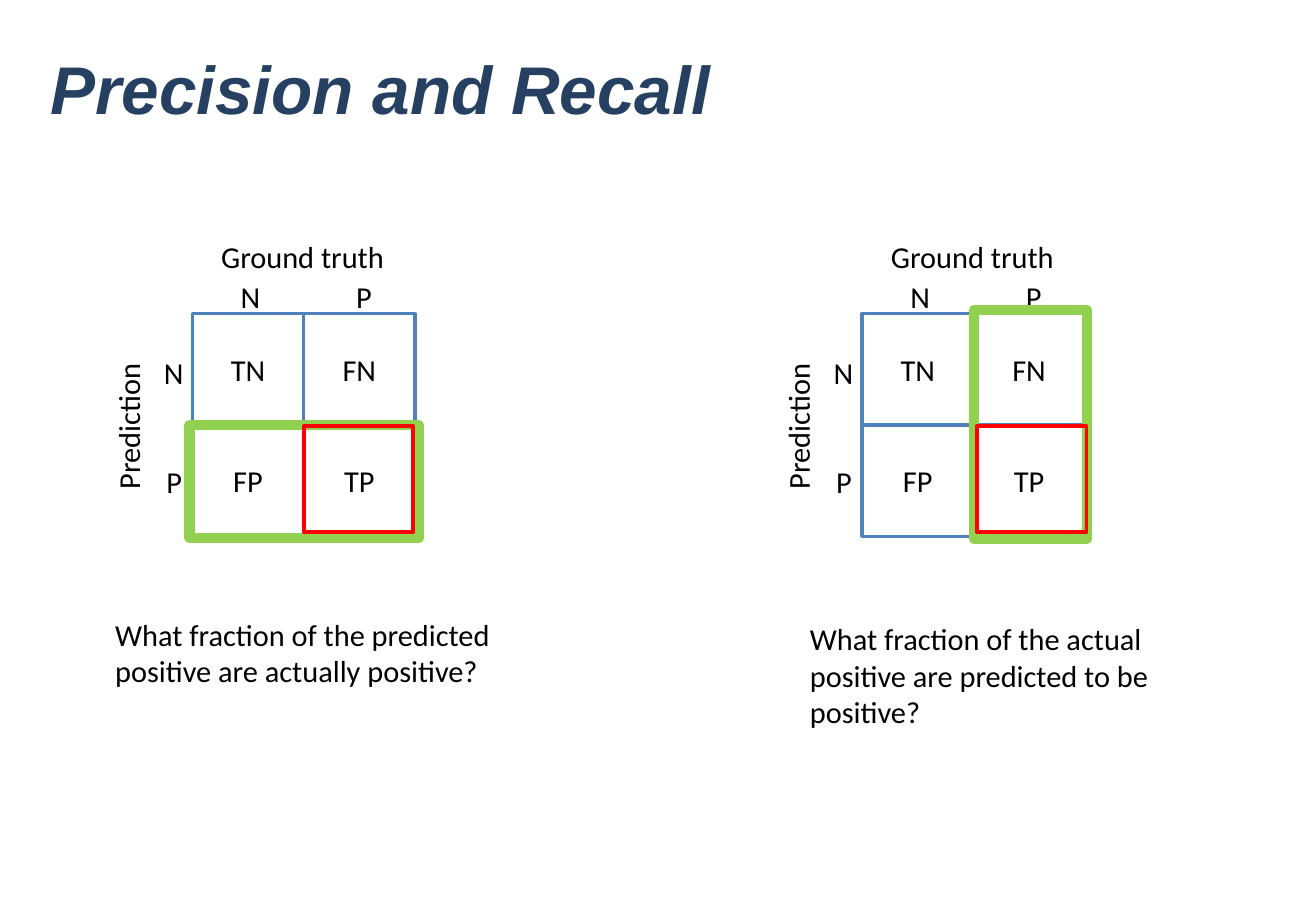
"""Draw the precision and recall slide with two confusion grids."""
from dataclasses import dataclass

from pptx import Presentation
from pptx.dml import color
from pptx.enum import shapes, text
from pptx import util as u

SIDE = 66
TOP = 186
BLACK = "000000"


@dataclass(frozen=True)
class Box:
    left: float
    top: float
    width: float
    height: float

    def points(self) -> list:
        return [u.Pt(v) for v in (self.left, self.top, self.width, self.height)]


@dataclass(frozen=True)
class Label:
    words: str
    box: Box
    turn: int = 0


@dataclass(frozen=True)
class Panel:
    left: float
    green: Box
    red: Box
    query: Label


CELLS = (("TN", "FN"), ("FP", "TP"))
LABELS = (
    Label("Prediction", Box(-83, 237.6, 90, 29), 270),
    Label("Ground truth", Box(10, 137.5, 112, 29)),
    Label("N", Box(21.5, 161.3, 26, 29)),
    Label("P", Box(90, 161.3, 24, 29)),
    Label("N", Box(-24, 206.6, 26, 29)),
    Label("P", Box(-22.5, 270.7, 24, 29)),
)
PANELS = (
    Panel(114, Box(112.3, 252, 136, 67), Box(180, 252.7, 65, 62.6),
          Label("What fraction of the predicted positive are actually positive?",
                Box(61.2, 361.4, 252, 51))),
    Panel(511, Box(577.4, 183.6, 67, 136), Box(579, 252.7, 65, 62.6),
          Label("What fraction of the actual positive are predicted to be positive?",
                Box(473, 364.3, 233.3, 73))),
)


def paint(target, shade: str) -> None:
    target.rgb = color.RGBColor.from_string(shade)


def write(shape, words: str, *, size: float = 18, face: str = "Calibri",
          shade: str = BLACK, bold: bool = False, slant: bool = False,
          align=text.PP_ALIGN.LEFT, anchor=text.MSO_ANCHOR.TOP,
          wrap: bool = True) -> None:
    frame = shape.text_frame
    frame.text = words
    frame.word_wrap = wrap
    frame.auto_size = text.MSO_AUTO_SIZE.NONE
    frame.vertical_anchor = anchor
    line = frame.paragraphs[0]
    line.alignment = align
    font = line.runs[0].font
    font.size, font.name = u.Pt(size), face
    font.bold, font.italic = bold, slant
    paint(font.color, shade)


def draw_rect(slide, box: Box, edge: str, weight: float, fill: str = ""):
    rect = slide.shapes.add_shape(shapes.MSO_SHAPE.RECTANGLE, *box.points())
    rect.shadow.inherit = False
    if fill:
        rect.fill.solid()
        paint(rect.fill.fore_color, fill)
    else:
        rect.fill.background()
    paint(rect.line.color, edge)
    rect.line.width = u.Pt(weight)
    return rect


def draw_label(slide, label: Label, shift: float = 0, wrap: bool = False) -> None:
    box = slide.shapes.add_textbox(*label.box.points())
    box.left += u.Pt(shift)
    box.rotation = label.turn
    write(box, label.words, wrap=wrap)


def draw_panel(slide, panel: Panel) -> None:
    for row, names in enumerate(CELLS):
        for col, name in enumerate(names):
            box = Box(panel.left + col * SIDE, TOP + row * SIDE, SIDE, SIDE)
            cell = draw_rect(slide, box, "4F81BD", 2, "FFFFFF")
            write(cell, name, align=text.PP_ALIGN.CENTER,
                  anchor=text.MSO_ANCHOR.MIDDLE)
    for label in LABELS:
        draw_label(slide, label, panel.left)
    draw_label(slide, panel.query, wrap=True)
    draw_rect(slide, panel.green, "92D050", 6)
    draw_rect(slide, panel.red, "FF0000", 2.25)


def draw_title(slide) -> None:
    title = slide.shapes.title
    title.left, title.top, title.width, title.height = Box(30, 28, 719, 48).points()
    frame = title.text_frame
    frame.margin_left = frame.margin_right = u.Pt(0)
    frame.margin_top = frame.margin_bottom = u.Pt(0)
    write(title, "Precision and Recall", size=40, face="Arial", shade="254061",
          bold=True, slant=True, anchor=text.MSO_ANCHOR.BOTTOM)


def main() -> None:
    deck = Presentation()
    deck.slide_width, deck.slide_height = u.Pt(780), u.Pt(540)
    slide = deck.slides.add_slide(deck.slide_layouts[5])
    draw_title(slide)
    for panel in PANELS:
        draw_panel(slide, panel)
    deck.save("out.pptx")


if __name__ == "__main__":
    main()
